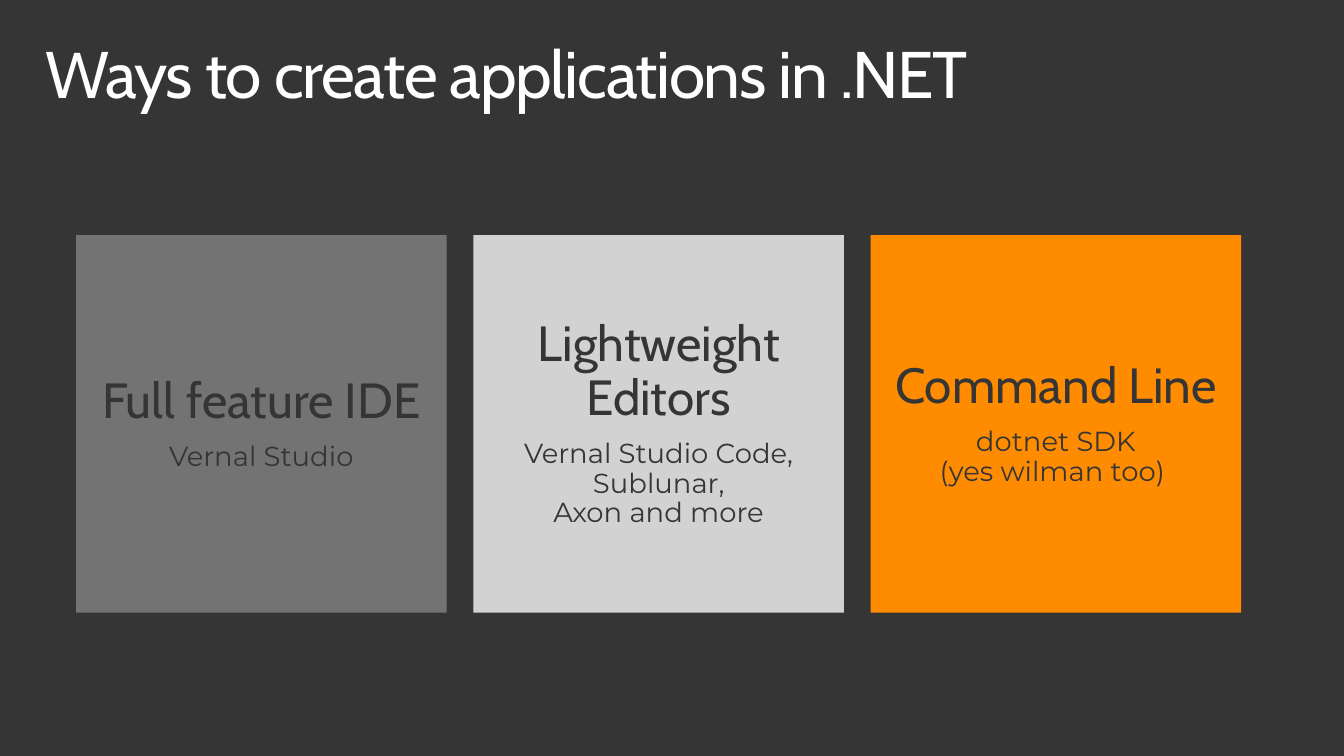
"""Build the slide on ways to create applications in .NET."""
from pptx import Presentation
from pptx.dml.color import RGBColor
from pptx.enum.shapes import MSO_SHAPE as Shape
from pptx.enum.text import MSO_ANCHOR as Anchor, MSO_AUTO_SIZE as AutoSize, PP_ALIGN as Align
from pptx.util import Inches, Pt

TITLE = "Ways to create applications in .NET"
CARDS = [
    ("Full feature IDE", "Vernal Studio", "737373"),
    ("Lightweight Editors", "Vernal Studio Code,\nSublunar,\nAxon and more", "D2D2D2"),
    ("Command Line", "dotnet SDK\n(yes wilman too) ", "FF8C00"),
]
DARK, WHITE = "353535", "FFFFFF"
HEADING_FONT, BODY_FONT = "Cabin", "Montserrat"
CARD_LEFT, CARD_TOP, CARD_WIDTH, CARD_HEIGHT, CARD_GAP = 0.77, 2.38, 3.75, 3.82, 0.27


def color(value):
    return RGBColor.from_string(value)


def set_margins(text_frame, horizontal, vertical):
    text_frame.margin_left = text_frame.margin_right = Inches(horizontal)
    text_frame.margin_top = text_frame.margin_bottom = Inches(vertical)


def write(paragraph, text, font_name, size, font_color, alignment):
    paragraph.text = text
    paragraph.alignment = alignment
    paragraph.line_spacing = 0.9
    for run in paragraph.runs:
        run.font.name = font_name
        run.font.size = Pt(size)
        run.font.color.rgb = color(font_color)


def add_title(slide):
    title = slide.shapes.title
    title.left, title.top = Inches(0.3), Inches(0.32)
    title.width, title.height = Inches(13), Inches(1)
    text_frame = title.text_frame
    text_frame.word_wrap = True
    text_frame.auto_size = AutoSize.NONE
    text_frame.vertical_anchor = Anchor.TOP
    set_margins(text_frame, 0.16, 0.1)
    paragraph = text_frame.paragraphs[0]
    write(paragraph, TITLE, HEADING_FONT, 48, WHITE, Align.LEFT)
    paragraph.runs[0].font._element.set("spc", "-100")


def add_card(slide, index, heading, details, fill):
    left = CARD_LEFT + index * (CARD_WIDTH + CARD_GAP)
    card = slide.shapes.add_shape(
        Shape.RECTANGLE, Inches(left), Inches(CARD_TOP), Inches(CARD_WIDTH), Inches(CARD_HEIGHT)
    )
    card.shadow.inherit = False
    card.fill.solid()
    card.fill.fore_color.rgb = color(fill)
    card.line.fill.background()
    text_frame = card.text_frame
    text_frame.word_wrap = True
    text_frame.vertical_anchor = Anchor.MIDDLE
    set_margins(text_frame, 0.2, 0.2)
    write(text_frame.paragraphs[0], heading, HEADING_FONT, 36, DARK, Align.CENTER)
    paragraph = text_frame.add_paragraph()
    write(paragraph, details, BODY_FONT, 20, DARK, Align.CENTER)
    paragraph.space_before = Pt(10)


def main():
    presentation = Presentation()
    presentation.slide_width, presentation.slide_height = Inches(13.6), Inches(7.65)
    slide = presentation.slides.add_slide(presentation.slide_layouts[5])
    slide.background.fill.solid()
    slide.background.fill.fore_color.rgb = color(DARK)
    add_title(slide)
    for index, card in enumerate(CARDS):
        add_card(slide, index, *card)
    presentation.save("out.pptx")


if __name__ == "__main__":
    main()
